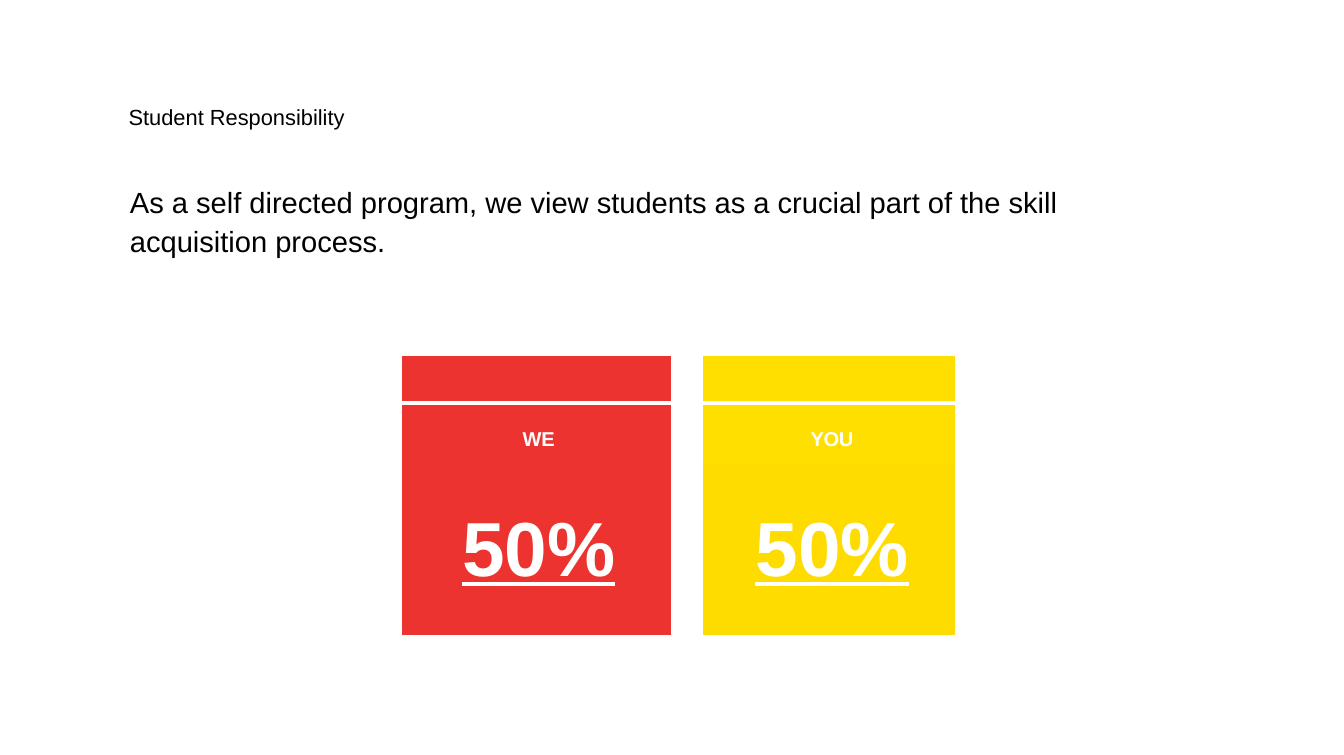
"""Build the Student Responsibility slide with its two 50% cards."""
from pptx import Presentation, util as u
from pptx.dml.color import RGBColor
from pptx.enum import shapes, text
from pptx.oxml.ns import qn
from lxml import etree

W, H = 10.24, 5.75
COLS, ROWS = (2.05, 0.25, 1.92), (0.41, 0.41, 1.31)
LEFT, TOP = 3.06, 2.71
WHITE, BLACK = "FFFFFF", "000000"


def rgb(value):
    return RGBColor.from_string(value)


def add_run(p, content, size, color, spacing=0, **fmt):
    r = p.add_run()
    r.text = content
    r.font.color.rgb = rgb(color)
    for name, value in {"name": "Arial", "size": u.Pt(size), **fmt}.items():
        setattr(r.font, name, value)
    if spacing:
        r._r.get_or_add_rPr().set("spc", str(round(spacing * 100)))


prs = Presentation()
prs.slide_width, prs.slide_height = u.Inches(W), u.Inches(H)
s = prs.slides.add_slide(prs.slide_layouts[6])

for content, size, x, y, w, h in (
    ("Student Responsibility", 12, 0.98, 0.77, 8.31, 0.19),
    ("As a self directed program, we view students as a crucial part "
     "of the skill acquisition process.", 16, 0.99, 1.38, 8.15, 0.55),
):
    tf = s.shapes.add_textbox(*map(u.Inches, (x, y, w, h))).text_frame
    for name, value in {"word_wrap": True, "margin_left": 0, "margin_right": 0,
                        "margin_top": 0, "margin_bottom": 0}.items():
        setattr(tf, name, value)
    p = tf.paragraphs[0]
    p.line_spacing = 1.1
    add_run(p, content, size, BLACK)

sp = s.shapes.add_table(len(ROWS), len(COLS), *map(
    u.Inches, (LEFT, TOP, sum(COLS), sum(ROWS))))
table = sp.table
table.first_row = table.horz_banding = False
table._tbl.tblPr.find(qn("a:tableStyleId")).text = "{2D5ABB26-0587-4C30-8999-92F81FD0307C}"
for col, width in zip(table.columns, COLS):
    col.width = u.Inches(width)
for row, height in zip(table.rows, ROWS):
    row.height = u.Inches(height)

for i in range(len(ROWS)):
    cell = table.cell(i, 1)
    cell.fill.solid()
    cell.fill.fore_color.rgb = rgb(WHITE)

for col, label, top_fill, bottom_fill in (
    (0, "WE", "ED332F", "ED332F"),
    (2, "YOU", "FFDF00", "FFDC00"),
):
    table.cell(0, col).merge(table.cell(1, col))
    for row, fill, anchor, spacing, size, underline, runs in (
        (0, top_fill, text.MSO_ANCHOR.BOTTOM, 0.65, 11, False, [(label, -0.2)]),
        (2, bottom_fill, text.MSO_ANCHOR.MIDDLE, 1.0, 42, True,
         [("5", -1.7), ("0", -0.4), ("%", -1.7)]),
    ):
        cell = table.cell(row, col)
        cell.fill.solid()
        cell.fill.fore_color.rgb = rgb(fill)
        cell.vertical_anchor = anchor
        for side in ("left", "right", "top", "bottom"):
            setattr(cell, f"margin_{side}", u.Inches(0.11))
        p = cell.text_frame.paragraphs[0]
        p.alignment, p.line_spacing = text.PP_ALIGN.CENTER, spacing
        p._p.get_or_add_pPr().set("marL", str(u.Inches(0.04)))
        for content, gap in runs:
            add_run(p, content, size, WHITE, gap, bold=True, underline=underline)

rule = s.shapes.add_connector(shapes.MSO_CONNECTOR.STRAIGHT, *map(
    u.Inches, (2.99, 3.07, LEFT + sum(COLS), 3.07)))
rule.line.color.rgb = rgb(WHITE)
rule.line.width = u.Pt(2)
etree.SubElement(rule._element.spPr, qn("a:effectLst"))

prs.save("out.pptx")
